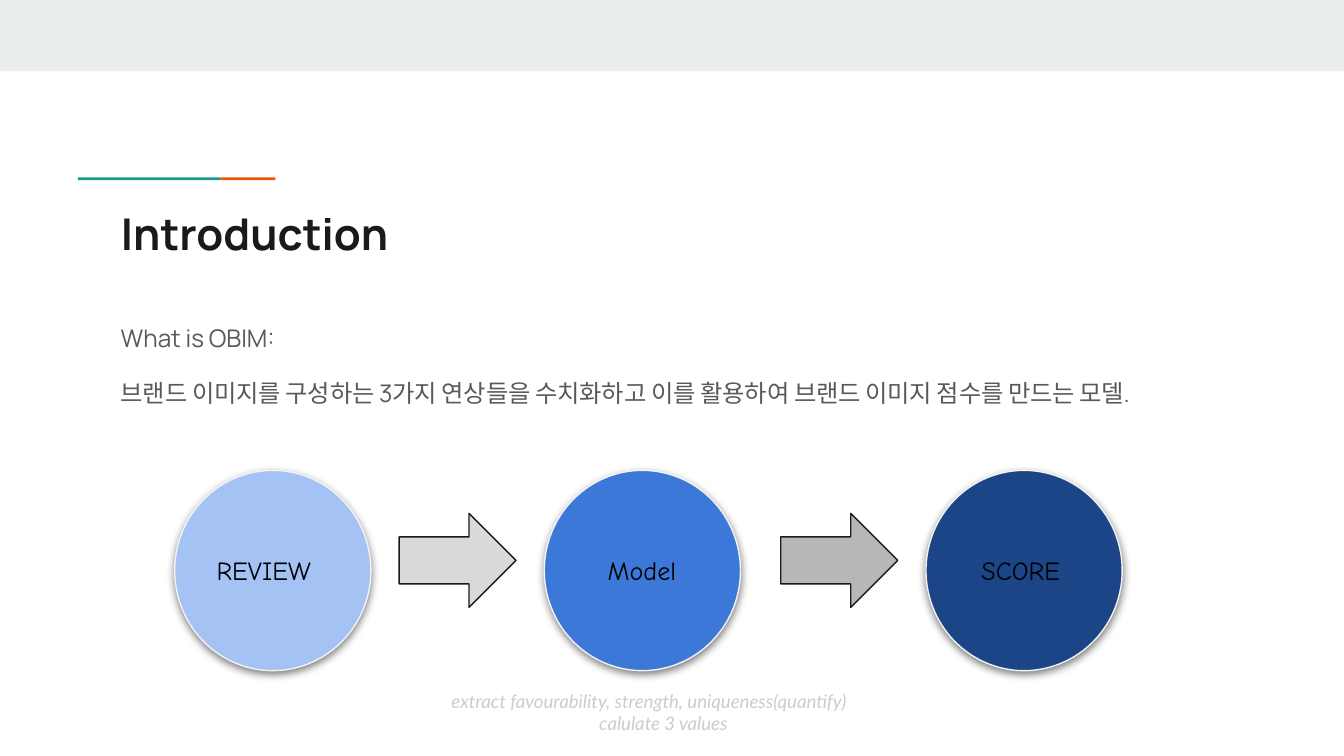
from dataclasses import dataclass

from lxml import etree
from pptx import Presentation
from pptx.dml.color import RGBColor
from pptx.enum.shapes import MSO_SHAPE
from pptx.enum.text import MSO_ANCHOR, MSO_AUTO_SIZE, PP_ALIGN
from pptx.oxml.ns import qn
from pptx.util import Inches, Pt

RECTANGLE, OVAL = MSO_SHAPE.RECTANGLE, MSO_SHAPE.OVAL
RIGHT_ARROW = MSO_SHAPE.RIGHT_ARROW
TOP, MIDDLE = MSO_ANCHOR.TOP, MSO_ANCHOR.MIDDLE
LEFT = PP_ALIGN.LEFT
NO_FIT = MSO_AUTO_SIZE.NONE
TITLE_ONLY = 5


@dataclass(frozen=True)
class Theme:
    band: str = "E9EDEE"
    teal: str = "1A9988"
    orange: str = "EB5600"
    ink: str = "1A1A1A"
    body: str = "595959"
    label: str = "000000"
    note: str = "CCCCCC"
    rim: str = "F3F3F3"
    heading_font: str = "Manrope"
    label_font: str = "Comic Neue"
    note_font: str = "Lato"
    title_size: float = 23.4
    body_size: float = 13
    label_size: float = 14
    note_size: float = 10


THEME = Theme()
TITLE_STYLE = {"name": THEME.heading_font, "size": Pt(THEME.title_size),
               "bold": True, "color": THEME.ink}
BODY_STYLE = {"name": THEME.heading_font, "size": Pt(THEME.body_size),
              "color": THEME.body}
LABEL_STYLE = {"name": THEME.label_font, "size": Pt(THEME.label_size),
               "color": THEME.label}
NOTE_STYLE = {"name": THEME.note_font, "size": Pt(THEME.note_size),
              "italic": True, "color": THEME.note}

# Process steps: left, fill, label, label indent
STEPS = [
    (1.30, "A4C2F4", "REVIEW", 0),
    (4.05, "3C78D8", "Model", 0.16),
    (6.89, "1C4587", "SCORE", 0.1),
]
# Arrows between steps: left, fill
ARROWS = [(2.97, "D9D9D9"), (5.81, "B7B7B7")]


def place(box, left, top, width, height):
    for name, value in zip(("left", "top", "width", "height"),
                           (left, top, width, height)):
        setattr(box, name, Inches(value))


def write_lines(box, lines, style, anchor=TOP, spacing=None, gap=0):
    """Fill a box with (text, indent) lines in one style."""
    frame = box.text_frame
    settings = {"word_wrap": True, "auto_size": NO_FIT,
                "vertical_anchor": anchor}
    for side in ("left", "top", "right", "bottom"):
        settings[f"margin_{side}"] = Inches(0.1)
    for name, value in settings.items():
        setattr(frame, name, value)
    for index, (text, indent) in enumerate(lines):
        para = frame.add_paragraph() if index else frame.paragraphs[0]
        para.alignment = LEFT
        para.space_before = Pt(gap if index else 0)
        if spacing:
            para.line_spacing = spacing
        if indent:
            para._p.get_or_add_pPr().set("marL", str(Inches(indent)))
        span = para.add_run()
        span.text = text
        for name, value in style.items():
            if name == "color":
                span.font.color.rgb = RGBColor.from_string(value)
            else:
                setattr(span.font, name, value)
        # The same font for East Asian text
        etree.SubElement(span._r.get_or_add_rPr(), qn("a:ea"),
                         typeface=style["name"])


def add_text(page, bounds, lines, style, **layout):
    box = page.shapes.add_textbox(*map(Inches, bounds))
    write_lines(box, lines, style, **layout)


def add_filled(page, kind, bounds, fill, line=None):
    shape = page.shapes.add_shape(kind, *map(Inches, bounds))
    shape.shadow.inherit = False
    shape.fill.solid()
    shape.fill.fore_color.rgb = RGBColor.from_string(fill)
    if line:
        shape.line.color.rgb = RGBColor.from_string(line)
        shape.line.width = Pt(0.75)
    else:
        shape.line.fill.background()
    return shape


def add_soft_shadow(shape):
    effects = shape._element.spPr.find(qn("a:effectLst"))
    shadow = etree.SubElement(
        effects, qn("a:outerShdw"), blurRad=str(Pt(4.5)), dist=str(Pt(1.5)),
        dir="5400000", algn="bl", rotWithShape="0")
    color = etree.SubElement(shadow, qn("a:srgbClr"), val="000000")
    etree.SubElement(color, qn("a:alpha"), val="50000")


def add_step(page, left, fill, label, indent):
    circle = add_filled(page, OVAL, (left, 3.5, 1.46, 1.49), fill, THEME.rim)
    add_soft_shadow(circle)
    write_lines(circle, [(label, indent)], LABEL_STYLE, anchor=MIDDLE)


def main():
    deck = Presentation()
    deck.slide_width = Inches(10)
    deck.slide_height = Inches(10 * 9 / 16)  # widescreen
    page = deck.slides.add_slide(deck.slide_layouts[TITLE_ONLY])

    # Top band and two-colour accent rule
    add_filled(page, RECTANGLE, (0, 0, 10, 0.53), THEME.band)
    add_filled(page, RECTANGLE, (0.58, 1.32, 1.06, 0.02), THEME.teal)
    add_filled(page, RECTANGLE, (1.64, 1.32, 0.41, 0.02), THEME.orange)

    # Title and definition
    title = page.shapes.title
    place(title, 0.8, 1.44, 8.41, 0.59)
    write_lines(title, [("Introduction", 0)], TITLE_STYLE)
    definition = [
        ("What is OBIM:", 0),
        ("브랜드 이미지를 구성하는 3가지 연상들을 수치화하고 이를 활용하여 "
         "브랜드 이미지 점수를 만드는 모델.", 0),
    ]
    add_text(page, (0.8, 2.27, 8.41, 2.47), definition, BODY_STYLE,
             spacing=1.15, gap=12)

    # Process: review, model, score
    for step in STEPS:
        add_step(page, *step)
    for left, fill in ARROWS:
        add_filled(page, RIGHT_ARROW, (left, 3.82, 0.87, 0.7), fill, THEME.ink)

    # Note under the model
    note = [
        ("extract favourability, strength, uniqueness(quantify)", 0.04),
        ("calulate 3 values", 1.14),
    ]
    add_text(page, (3.22, 5.03, 3.58, 0.54), note, NOTE_STYLE)

    deck.save("out.pptx")


if __name__ == "__main__":
    main()
